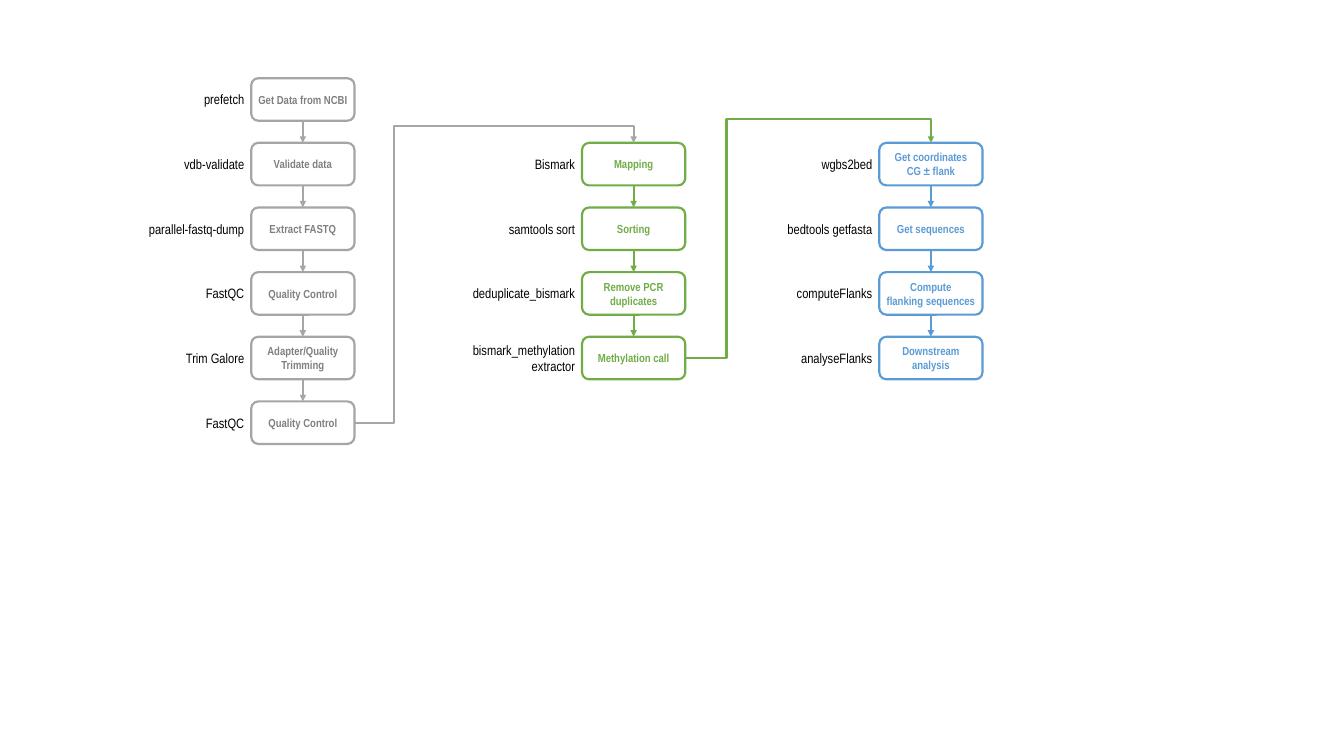
from lxml import etree
from pptx import Presentation
from pptx.dml.color import RGBColor
from pptx.enum.shapes import MSO_CONNECTOR as LINK, MSO_SHAPE as SHAPE
from pptx.enum.text import MSO_ANCHOR as ANCHOR, PP_ALIGN as ALIGN
from pptx.oxml.ns import qn
from pptx.util import Inches, Pt

FONT = "Arial Narrow"
BOX_W, BOX_H = 1.48, 0.61
TOP, PITCH = 1.12, 4.63 / 5
LABEL_W = 2

# left, first row, box line, box text, arrows, steps as (tool, task)
STAGES = [
    (3.6, 0, "A5A5A5", "808080", "A6A6A6", [
        ("prefetch", "Get Data from NCBI"),
        ("vdb-validate", "Validate data"),
        ("parallel-fastq-dump", "Extract FASTQ"),
        ("FastQC", "Quality Control"),
        ("Trim Galore", "Adapter/Quality\nTrimming"),
        ("FastQC", "Quality Control")]),
    (8.34, 1, "70AD47", "70AD47", "70AD47", [
        ("Bismark", "Mapping"),
        ("samtools sort", "Sorting"),
        ("deduplicate_bismark", "Remove PCR\nduplicates"),
        ("bismark_methylation\nextractor", "Methylation call")]),
    (12.6, 1, "5B9BD5", "5B9BD5", "5B9BD5", [
        ("wgbs2bed", "Get coordinates\nCG ± flank"),
        ("bedtools getfasta", "Get sequences"),
        ("computeFlanks", "Compute\nflanking sequences"),
        ("analyseFlanks", "Downstream\nanalysis")]),
]
# x of the upright and y of the crossbar between neighbouring stages
BENDS = [(5.65, 1.8), (10.41, 1.7)]


def color(value):
    return RGBColor.from_string(value)


def write(shape, text, size, hue, align, bold=False):
    frame = shape.text_frame
    frame.text = text
    frame.vertical_anchor = ANCHOR.MIDDLE
    frame.margin_top = frame.margin_bottom = 0
    for para in frame.paragraphs:
        para.alignment = align
        font = para.font
        font.name, font.size, font.bold = FONT, Pt(size), bold
        font.color.rgb = color(hue)


def add_task(slide, left, top, text, edge, ink):
    box = slide.shapes.add_shape(SHAPE.ROUNDED_RECTANGLE, Inches(left), Inches(top),
                                 Inches(BOX_W), Inches(BOX_H))
    box.shadow.inherit = False
    box.fill.background()
    box.line.color.rgb = color(edge)
    box.line.width = Pt(2.25)
    write(box, text, 12, ink, ALIGN.CENTER, bold=True)
    box.text_frame.margin_left = box.text_frame.margin_right = 0
    box.text_frame.word_wrap = False
    return box


def add_tool(slide, right, top, text):
    label = slide.shapes.add_textbox(Inches(right - LABEL_W), Inches(top),
                                     Inches(LABEL_W), Inches(BOX_H))
    label.text_frame.word_wrap = True
    write(label, text, 14, "000000", ALIGN.RIGHT)


def add_arrow(slide, start, end, hue, kind=LINK.STRAIGHT, site=2):
    """Link a site of start to the top of end."""
    arrow = slide.shapes.add_connector(kind, 0, 0, 0, 0)
    arrow.begin_connect(start, site)
    arrow.end_connect(end, 0)
    arrow.line.color.rgb = color(hue)
    arrow.line.width = Pt(2.25)
    etree.SubElement(arrow.line._get_or_add_ln(), qn("a:tailEnd"), type="triangle")
    etree.SubElement(arrow._element.spPr, qn("a:effectLst"))
    return arrow


def add_bend(slide, start, end, hue, bend):
    """Link the right of start to the top of end by way of bend."""
    arrow = add_arrow(slide, start, end, hue, LINK.ELBOW, 3)
    x, y = (Inches(part) for part in bend)
    ratios = ((x - arrow.begin_x) / (arrow.end_x - arrow.begin_x),
              (y - arrow.begin_y) / (arrow.end_y - arrow.begin_y))
    shape = arrow._element.spPr.find(qn("a:prstGeom"))
    shape.set("prst", "bentConnector4")
    guides = shape.find(qn("a:avLst"))
    for i, ratio in enumerate(ratios, 1):
        etree.SubElement(guides, qn("a:gd"), name=f"adj{i}",
                         fmla=f"val {round(ratio * 100000)}")


def add_stage(slide, left, row, edge, ink, hue, steps):
    """Place a column of tasks with their tools; return the first and last box."""
    boxes = []
    for i, (tool, task) in enumerate(steps, row):
        top = TOP + i * PITCH
        add_tool(slide, left, top, tool)
        boxes.append(add_task(slide, left, top, task, edge, ink))
    for start, end in zip(boxes, boxes[1:]):
        add_arrow(slide, start, end, hue)
    return boxes[0], boxes[-1]


def main():
    deck = Presentation()
    deck.slide_width, deck.slide_height = Inches(19.26), Inches(10.83)
    slide = deck.slides.add_slide(deck.slide_layouts[6])
    ends = [add_stage(slide, *stage) for stage in STAGES]
    for i, bend in enumerate(BENDS):
        add_bend(slide, ends[i][1], ends[i + 1][0], STAGES[i][4], bend)
    deck.save("out.pptx")


if __name__ == "__main__":
    main()
